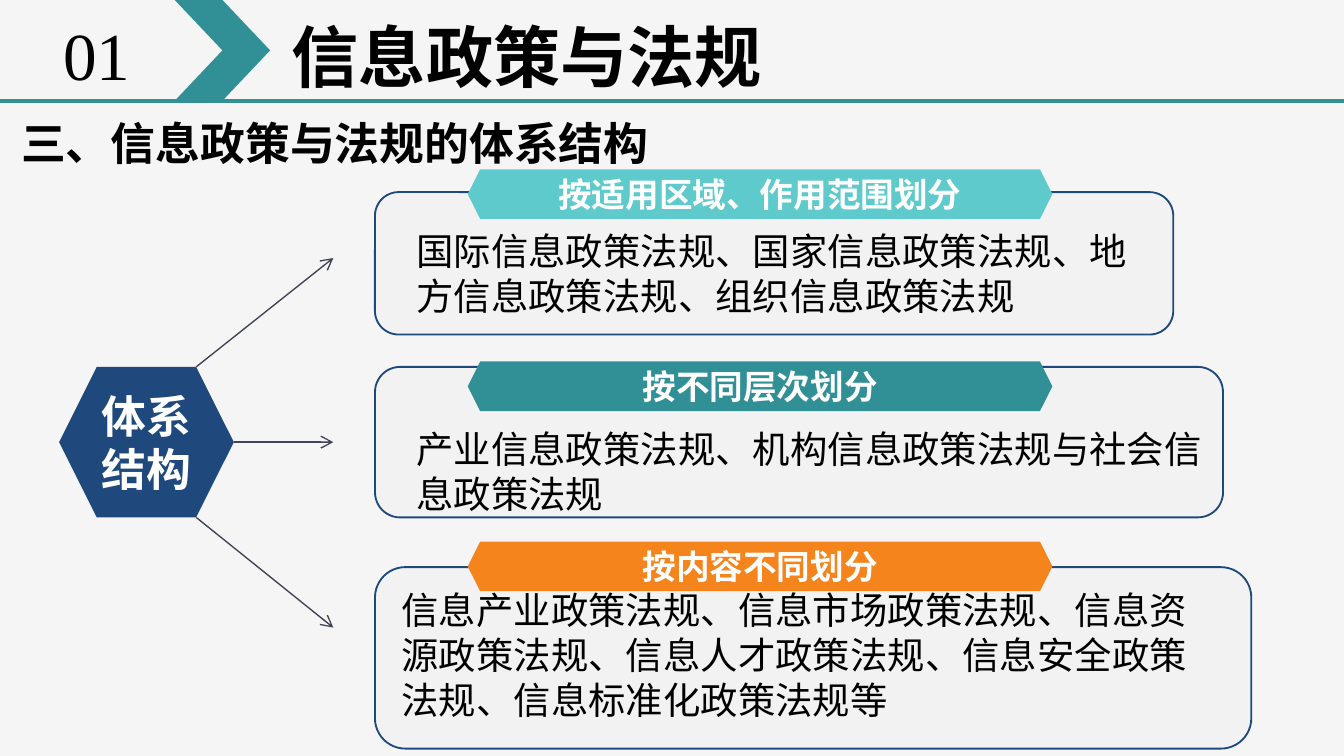
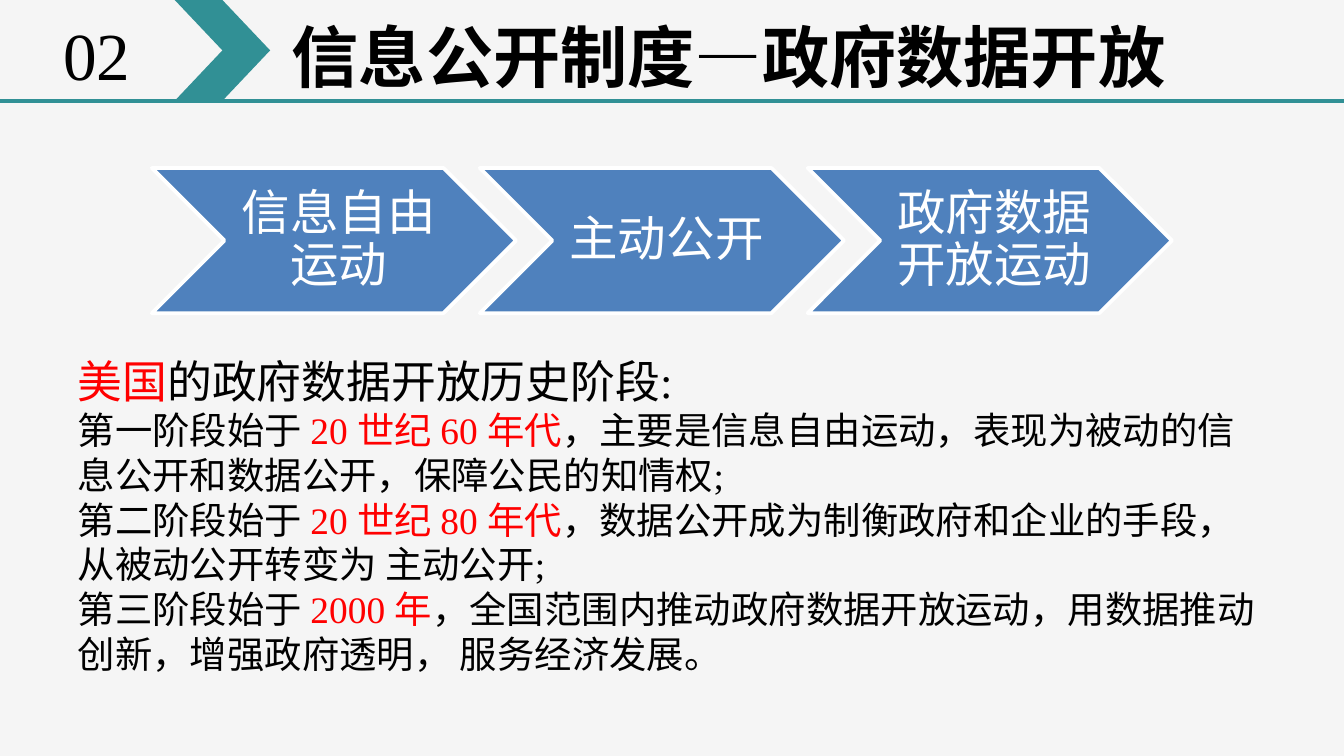
from dataclasses import dataclass
from typing import NamedTuple, Optional

from lxml.etree import SubElement
from pptx import Presentation
from pptx.dml.color import RGBColor
from pptx.enum.shapes import MSO_CONNECTOR, MSO_SHAPE
from pptx.enum.text import MSO_ANCHOR, MSO_AUTO_SIZE, PP_ALIGN
from pptx.oxml.ns import qn
from pptx.util import Inches, Pt

# Slide size and grid: 100 columns, with square cells
WIDTH = Inches(10)
HEIGHT = WIDTH * 9 // 16
CELL = WIDTH // 100

FONT = "Times New Roman"
BACKGROUND = RGBColor(0xF5, 0xF5, 0xF5)
PANEL = RGBColor(0xF2, 0xF2, 0xF2)
NAVY = RGBColor(0x1F, 0x49, 0x7D)
TEAL = RGBColor(0x31, 0x90, 0x95)
AQUA = RGBColor(0x5F, 0xCA, 0xCB)
ORANGE = RGBColor(0xF5, 0x84, 0x1C)
BLUE = RGBColor(0x4F, 0x81, 0xBD)
SLATE = RGBColor(0x41, 0x44, 0x55)
RED = RGBColor(0xFF, 0x00, 0x00)
BLACK = RGBColor(0x00, 0x00, 0x00)
WHITE = RGBColor(0xFF, 0xFF, 0xFF)


class Box(NamedTuple):
    """A place on the grid, in columns and rows."""
    left: float
    top: float
    width: float
    height: float

    def emu(self) -> list[int]:
        return [round(value * CELL) for value in self]


class Run(NamedTuple):
    text: str
    color: Optional[RGBColor] = None
    size: Optional[float] = None


class Insets(NamedTuple):
    """Text margins in cells: left, top, right, bottom."""
    left: float = 1
    top: float = 0.5
    right: float = 1
    bottom: float = 0.5


NARROW = Insets(0.8, 0.4, 0.8, 0.4)
STEP_INSETS = Insets(1.1, 0.4, 0.4, 0.4)


@dataclass(frozen=True)
class Category:
    """A framed way of dividing the system, with its banner."""
    heading: str
    color: RGBColor
    frame: Box
    banner_top: float
    body: Box
    lines: tuple[str, ...]
    arrow_end: float


CATEGORIES = (
    Category("按适用区域、作用范围划分", AQUA, Box(27.9, 14.3, 59.4, 10.6), 12.6,
             Box(30, 16.5, 55.4, 7.7),
             ("国际信息政策法规、国家信息政策法规、地方信息政策法规、组织信息政策法规",),
             19.2),
    Category("按不同层次划分", TEAL, Box(27.9, 27.3, 63.1, 11.2), 26.9,
             Box(30, 31.2, 63, 7.7),
             ("产业信息政策法规、机构信息政策法规与社会信", "息政策法规"),
             32.9),
    Category("按内容不同划分", ORANGE, Box(27.9, 42.2, 65.2, 13.5), 40.3,
             Box(28.9, 43.2, 62, 11.1),
             ("信息产业政策法规、信息市场政策法规、信息资源政策法规、"
              "信息人才政策法规、信息安全政策法规、信息标准化政策法规等",),
             46.7),
)
HUB = Box(4.4, 27.3, 13, 11.2)

STEPS = ("信息自由运动", "主动公开", "政府数据开放运动")
STEP_PITCH = 24.4

HISTORY = (
    (Run("美国", RED, 24), Run("的政府数据开放历史阶段:", size=24)),
    (Run("第一阶段始于 "), Run("20 世纪 60 年代", RED),
     Run("，主要是信息自由运动，表现为被动的信息公开和数据公开，保障公民的知情权;")),
    (Run("第二阶段始于 "), Run("20 世纪 80 年代", RED),
     Run("，数据公开成为制衡政府和企业的手段，从被动公开转变为 主动公开;")),
    (Run("第三阶段始于 "), Run("2000 年", RED),
     Run("，全国范围内推动政府数据开放运动，用数据推动创新，增强政府透明， 服务经济发展。")),
)


def write(shape, paragraphs, *, size: float, color: RGBColor = BLACK,
          bold: bool = False, align=PP_ALIGN.LEFT, anchor=MSO_ANCHOR.TOP,
          insets: Insets = Insets(), wrap: bool = True, grow: bool = False,
          line_spacing: Optional[float] = None,
          space_after: Optional[float] = None) -> None:
    """Fill a shape with paragraphs, each a string or a row of runs."""
    frame = shape.text_frame
    frame.word_wrap = wrap
    frame.auto_size = MSO_AUTO_SIZE.SHAPE_TO_FIT_TEXT if grow else MSO_AUTO_SIZE.NONE
    frame.vertical_anchor = anchor
    (frame.margin_left, frame.margin_top,
     frame.margin_right, frame.margin_bottom) = [round(i * CELL) for i in insets]
    for index, content in enumerate(paragraphs):
        paragraph = frame.add_paragraph() if index else frame.paragraphs[0]
        paragraph.alignment = align
        if line_spacing is not None:
            paragraph.line_spacing = line_spacing
        if space_after is not None:
            paragraph.space_after = Pt(space_after)
        for part in (Run(content),) if isinstance(content, str) else content:
            run = paragraph.add_run()
            run.text = part.text
            run.font.name = FONT
            run.font.size = Pt(part.size or size)
            run.font.bold = bold
            run.font.color.rgb = part.color or color


def add_text(slide, box: Box, paragraphs, **text_format) -> None:
    write(slide.shapes.add_textbox(*box.emu()), paragraphs, **text_format)


def add_block(slide, preset, box: Box, fill: RGBColor,
              outline: Optional[RGBColor] = None, outline_width: float = 1):
    block = slide.shapes.add_shape(preset, *box.emu())
    block.shadow.inherit = False
    block.fill.solid()
    block.fill.fore_color.rgb = fill
    if outline is None:
        block.line.fill.background()
    else:
        block.line.color.rgb = outline
        block.line.width = Pt(outline_width)
    return block


def add_line(slide, start: tuple[float, float], end: tuple[float, float],
             color: RGBColor, width: float, arrow: bool = False) -> None:
    ends = [round(value * CELL) for value in (*start, *end)]
    connector = slide.shapes.add_connector(MSO_CONNECTOR.STRAIGHT, *ends)
    connector.line.color.rgb = color
    connector.line.width = Pt(width)
    properties = connector.element.spPr
    if arrow:
        SubElement(properties.find(qn("a:ln")), qn("a:tailEnd"), type="arrow")
    SubElement(properties, qn("a:effectLst"))


def add_header(slide, number: str, title: str, title_width: float) -> None:
    """Rule, title, chevron and section number shared by the slides."""
    add_line(slide, (0, 7.5), (100, 7.5), TEAL, 2.25)
    add_text(slide, Box(20.9, 0.7, title_width, 6.9), [title],
             size=36, bold=True, insets=NARROW, grow=True)
    add_block(slide, MSO_SHAPE.CHEVRON, Box(13, 0, 7.1, 7.5), TEAL)
    add_text(slide, Box(3.9, 0.6, 6.7, 6.9), [number],
             size=36, insets=NARROW, wrap=False, grow=True)


def add_category(slide, category: Category) -> None:
    add_block(slide, MSO_SHAPE.ROUNDED_RECTANGLE, category.frame, PANEL, NAVY)
    banner = add_block(slide, MSO_SHAPE.HEXAGON,
                       Box(34.8, category.banner_top, 43.5, 3.7), category.color)
    write(banner, [category.heading], size=18, color=WHITE, bold=True,
          align=PP_ALIGN.CENTER, anchor=MSO_ANCHOR.MIDDLE, insets=NARROW)
    add_text(slide, category.body, category.lines, size=20, grow=True)


def build_structure(slide) -> None:
    for category in CATEGORIES:
        add_category(slide, category)

    # Hub and its arrows, from the right-hand corners of the hexagon
    hub = add_block(slide, MSO_SHAPE.HEXAGON, HUB, NAVY)
    write(hub, ["体系结构"], size=24, color=WHITE, bold=True,
          align=PP_ALIGN.CENTER, anchor=MSO_ANCHOR.MIDDLE, insets=NARROW)
    right = HUB.left + HUB.width
    shoulder = right - HUB.height / 4
    corners = ((shoulder, HUB.top), (right, HUB.top + HUB.height / 2),
               (shoulder, HUB.top + HUB.height))
    for corner, category in zip(corners, CATEGORIES):
        add_line(slide, corner, (24.8, category.arrow_end), SLATE, 0.75, arrow=True)

    add_text(slide, Box(0.6, 8.1, 49.4, 5), ["三、信息政策与法规的体系结构"],
             size=24, bold=True, wrap=False, grow=True)
    add_header(slide, "01", "信息政策与法规", 52.4)


def build_open_data(slide) -> None:
    add_text(slide, Box(4.8, 25.8, 90.6, 25.2), HISTORY, size=20, grow=True)
    add_header(slide, "02", "信息公开制度—政府数据开放", 67.4)

    # Chain of steps
    for index, step in enumerate(STEPS):
        chevron = Box(11.3 + index * STEP_PITCH, 12.5, 27.1, 10.8)
        add_block(slide, MSO_SHAPE.CHEVRON, chevron, BLUE, WHITE, 2)
        label = chevron._replace(left=chevron.left + 5.45, width=16.2)
        add_text(slide, label, [step], size=26, color=WHITE,
                 align=PP_ALIGN.CENTER, anchor=MSO_ANCHOR.MIDDLE,
                 insets=STEP_INSETS, line_spacing=0.9, space_after=9.1)


def main() -> None:
    presentation = Presentation()
    presentation.slide_width = WIDTH
    presentation.slide_height = HEIGHT
    blank = presentation.slide_layouts[6]
    for build in (build_structure, build_open_data):
        slide = presentation.slides.add_slide(blank)
        slide.background.fill.solid()
        slide.background.fill.fore_color.rgb = BACKGROUND
        build(slide)
    presentation.save("out.pptx")


if __name__ == "__main__":
    main()
